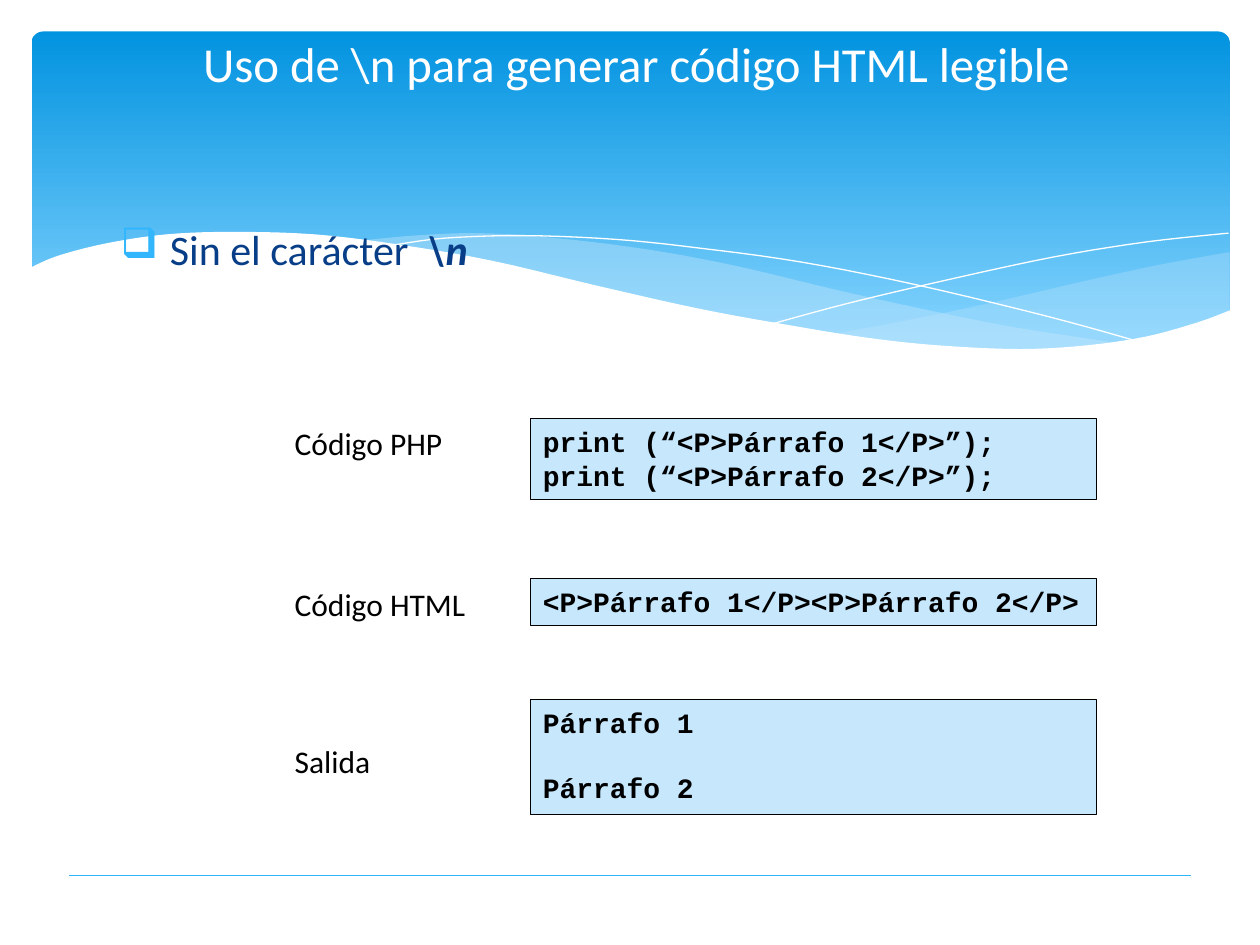
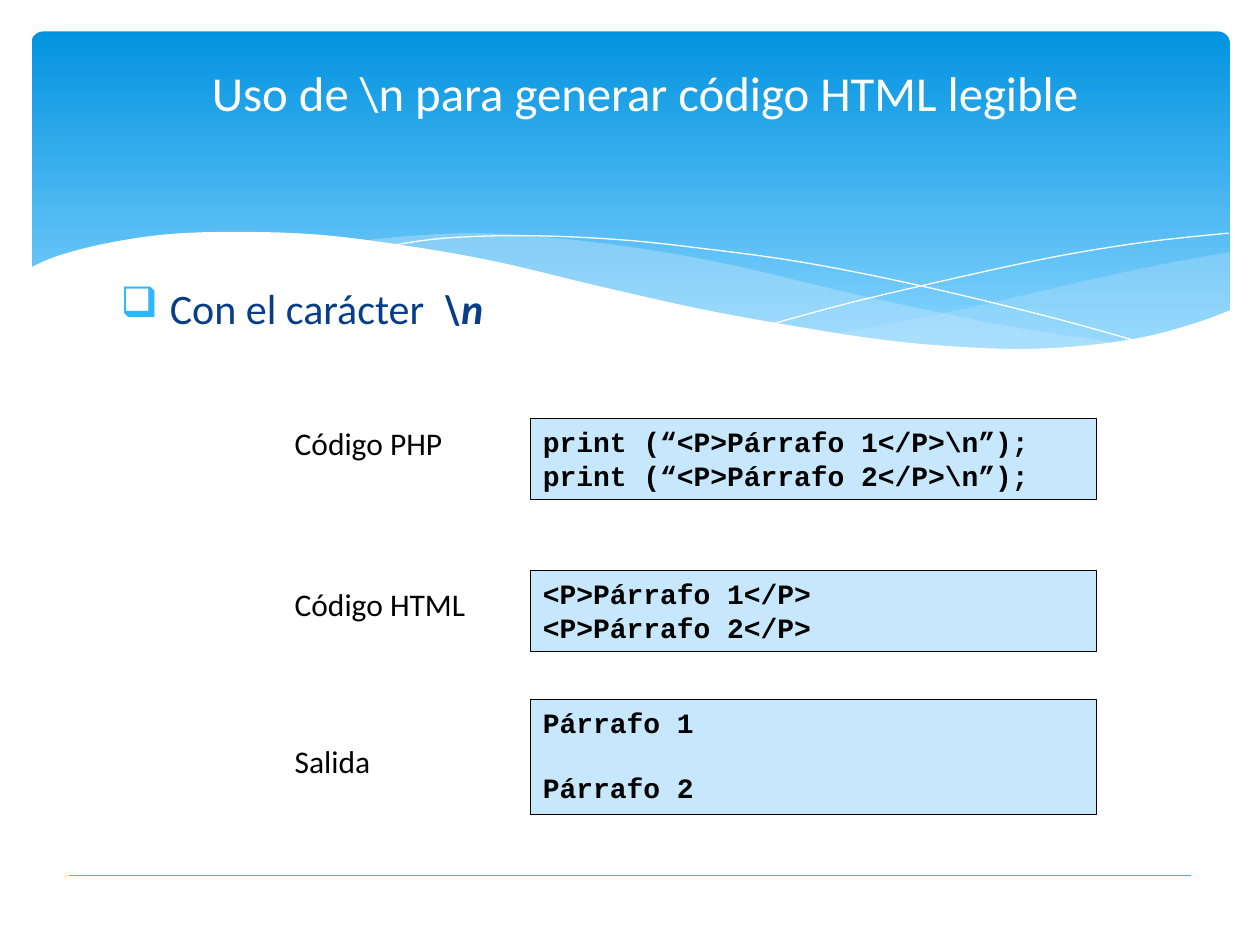
from lxml import etree
from pptx import Presentation
from pptx.dml.color import RGBColor
from pptx.enum.shapes import MSO_CONNECTOR, MSO_SHAPE
from pptx.enum.text import MSO_ANCHOR, PP_ALIGN
from pptx.oxml.ns import qn
from pptx.util import Inches, Pt

RECTANGLE, ROUNDED = MSO_SHAPE.RECTANGLE, MSO_SHAPE.ROUNDED_RECTANGLE
STRAIGHT = MSO_CONNECTOR.STRAIGHT
TOP, LEFT, CENTER = MSO_ANCHOR.TOP, PP_ALIGN.LEFT, PP_ALIGN.CENTER

WHITE, BLACK = "FFFFFF", "000000"
DEEP_BLUE, SKY_BLUE, PALE_BLUE = "0293E0", "83D3FE", "C6E7FC"
ACCENT, NAVY = "31B6FD", "073E87"

TITLE_FORMAT = {"name": "Calibri", "size": Pt(27.9)}
BODY_FORMAT = {"name": "Calibri", "size": Pt(24)}
LABEL_FORMAT = {"name": "Calibri", "size": Pt(18)}
CODE_FORMAT = {"name": "Courier New", "size": Pt(16), "bold": True}
EMPHASIS = {"bold": True, "italic": True}

TITLE = "Uso de \\n para generar código HTML legible"
OUTPUT = ["Párrafo 1", "Párrafo 2"]

# Each wave: knots of its upper edge, corners that close it, fill, opacity in %
WAVES = [
    ([(6.61, 2.65), (7.06, 2.57), (7.79, 2.42), (8.61, 2.23), (9.21, 2.1),
      (9.76, 2)],
     [(9.76, 2.78), (6.61, 2.78)], PALE_BLUE, 29),
    ([(2.86, 1.91), (3.28, 1.87), (3.8, 1.85), (4.42, 1.89), (5.14, 1.98),
      (5.84, 2.11), (6.68, 2.31), (7.41, 2.47), (8.07, 2.6), (8.93, 2.73)],
     [(8.93, 2.78), (2.86, 2.78)], PALE_BLUE, 40),
    ([(3.09, 1.95), (3.53, 1.89), (4.16, 1.87), (4.89, 1.9), (5.56, 1.97),
      (6.36, 2.08), (7.27, 2.26), (8.31, 2.51), (9.07, 2.72)],
     [], None, 100),
    ([(6.13, 2.57), (6.72, 2.41), (7.48, 2.23), (8.36, 2.04), (9.1, 1.92),
      (9.75, 1.85)],
     [], None, 100),
    ([(0.23, 2.13), (0.46, 2.03), (0.85, 1.93), (1.32, 1.86), (1.85, 1.84),
      (2.5, 1.86), (3.16, 1.94), (3.91, 2.07), (4.75, 2.27), (5.55, 2.45),
      (6.26, 2.58), (6.88, 2.68), (7.44, 2.74), (8.09, 2.77), (8.63, 2.74),
      (9.1, 2.67), (9.5, 2.56), (9.77, 2.46)],
     [(9.77, 3.29), (0.23, 3.29)], WHITE, 100),
]
CURVE_STEPS = 5

# Column positions of the example rows, and label (text, top, width)
LABEL_LEFT, BOX_LEFT, BOX_WIDTH = 2.24, 4.21, 4.49
LABELS = [("Código PHP", 3.32, 1.39), ("Código HTML", 4.59, 1.57),
          ("Salida", 5.84, 0.81)]

# Code boxes: lines, top, height, space before the second line
SLIDES = [
    {"title_at": (0.55, 0.22, 9, 1.47), "body_top": 1.8,
     "heading": "Sin el carácter  ",
     "boxes": [
         (["print (“<P>Párrafo 1</P>”);", "print (“<P>Párrafo 2</P>”);"],
          3.32, 0.64, 0),
         (["<P>Párrafo 1</P><P>Párrafo 2</P>"], 4.59, 0.37, 0),
         (OUTPUT, 5.55, 0.91, 18)]},
    {"title_at": (0.62, 0.45, 9, 1.11), "body_top": 2.27,
     "heading": "Con el carácter  ",
     "boxes": [
         (["print (“<P>Párrafo 1</P>\\n”);", "print (“<P>Párrafo 2</P>\\n”);"],
          3.32, 0.64, 0),
         (["<P>Párrafo 1</P>", "<P>Párrafo 2</P>"], 4.53, 0.64, 0),
         (OUTPUT, 5.55, 0.91, 18)]},
]
BODY_LEFT, BODY_WIDTH, BODY_BOTTOM = 0.86, 8.36, 6.92

presentation = Presentation()
presentation.slide_width, presentation.slide_height = Inches(10), Inches(7.5)
UNIT = presentation.slide_width // 10  # the grid has 10 columns and 7.5 rows


def paint(shape, fill=None, line=None, line_width=0, opacity=100):
    """Set fill, outline and opacity from hex strings, and drop the shadow."""
    shape.shadow.inherit = False
    if fill:
        shape.fill.solid()
        shape.fill.fore_color.rgb = RGBColor.from_string(fill)
    else:
        shape.fill.background()
    if opacity < 100:
        colour = shape.element.spPr.find(qn("a:solidFill"))[0]
        etree.SubElement(colour, qn("a:alpha"), val=str(opacity * 1000))
    if line:
        shape.line.color.rgb = RGBColor.from_string(line)
        shape.line.width = Pt(line_width)
    else:
        shape.line.fill.background()


def write(shape, lines, font_format, colour, align=LEFT, wrap=True, gap=0):
    """Write one paragraph per line and return the last paragraph."""
    frame = shape.text_frame
    frame.word_wrap = wrap
    frame.vertical_anchor = TOP
    for number, line in enumerate(lines):
        paragraph = frame.add_paragraph() if number else frame.paragraphs[0]
        paragraph.alignment = align
        if number and gap:
            paragraph.space_before = Pt(gap)
        font = paragraph.font
        run = paragraph.add_run()
        run.text = line
        for font in (paragraph.font, run.font):
            for name, value in font_format.items():
                setattr(font, name, value)
            font.color.rgb = RGBColor.from_string(colour)
    return paragraph


for content in SLIDES:
    slide = presentation.slides.add_slide(presentation.slide_layouts[6])
    shapes = slide.shapes

    # Blue band with waves
    band = shapes.add_shape(
        ROUNDED, *[int(UNIT * v) for v in (0.25, 0.25, 9.51, 2.7)])
    band.adjustments[0] = 0.034
    paint(band)
    band.fill.gradient()
    band.fill.gradient_angle = 270
    stops = zip(band.fill.gradient_stops, (0, 0.9), (DEEP_BLUE, SKY_BLUE))
    for stop, position, colour in stops:
        stop.position = position
        stop.color.rgb = RGBColor.from_string(colour)

    for knots, corners, fill, opacity in WAVES:
        # Catmull-Rom curve through the knots
        padded = [knots[0], *knots, knots[-1]]
        points = [knots[0]]
        for a, b, c, d in zip(padded, padded[1:], padded[2:], padded[3:]):
            for step in range(1, CURVE_STEPS + 1):
                t = step / CURVE_STEPS
                points.append(tuple(
                    q + t * (r - p) / 2
                    + t ** 2 * (2 * p - 5 * q + 4 * r - s) / 2
                    + t ** 3 * (3 * q - p - 3 * r + s) / 2
                    for p, q, r, s in zip(a, b, c, d)))
        outline = [(UNIT * x, UNIT * y) for x, y in points + corners]
        builder = shapes.build_freeform(*outline[0])
        builder.add_line_segments(outline[1:], close=bool(corners))
        wave = builder.convert_to_shape()
        paint(wave, fill, None if fill else WHITE, 0, opacity)

    # Title and heading
    title = shapes.add_textbox(*[int(UNIT * v) for v in content["title_at"]])
    write(title, [TITLE], TITLE_FORMAT, WHITE, CENTER)

    body_top = content["body_top"]
    body = shapes.add_textbox(*[int(UNIT * v) for v in (
        BODY_LEFT, body_top, BODY_WIDTH, BODY_BOTTOM - body_top)])
    heading = write(body, [content["heading"]], BODY_FORMAT, NAVY)
    heading.line_spacing = 0.8
    newline = heading.add_run()
    newline.text = "\\n"
    for name, value in {**BODY_FORMAT, **EMPHASIS}.items():
        setattr(newline.font, name, value)
    newline.font.color.rgb = RGBColor.from_string(NAVY)
    properties = heading._p.get_or_add_pPr()
    properties.set("marL", str(int(UNIT * 0.39)))
    properties.set("indent", str(int(UNIT * -0.39)))
    bullet_colour = etree.Element(qn("a:buClr"))
    etree.SubElement(bullet_colour, qn("a:srgbClr"), val=ACCENT)
    bullet = etree.Element(qn("a:buChar"), char="❑")
    spacing = properties.find(qn("a:lnSpc"))
    spacing.addnext(bullet_colour)
    bullet_colour.addnext(bullet)

    # Footer line
    footer = shapes.add_connector(
        STRAIGHT, *[int(UNIT * v) for v in (0.55, 6.95, 9.45, 6.95)])
    footer.line.color.rgb = RGBColor.from_string(ACCENT)
    footer.line.width = Pt(0.75)
    etree.SubElement(footer.element.spPr, qn("a:effectLst"))

    # Example rows: code box and label
    for (lines, top, height, gap), (text, label_top, width) in zip(
            content["boxes"], LABELS):
        box = shapes.add_shape(RECTANGLE, *[
            int(UNIT * v) for v in (BOX_LEFT, top, BOX_WIDTH, height)])
        paint(box, PALE_BLUE, BLACK, 0.25)
        write(box, lines, CODE_FORMAT, BLACK, gap=gap)
        label = shapes.add_textbox(*[
            int(UNIT * v) for v in (LABEL_LEFT, label_top, width, 0.4)])
        write(label, [text], LABEL_FORMAT, BLACK, wrap=False)

presentation.save("out.pptx")
